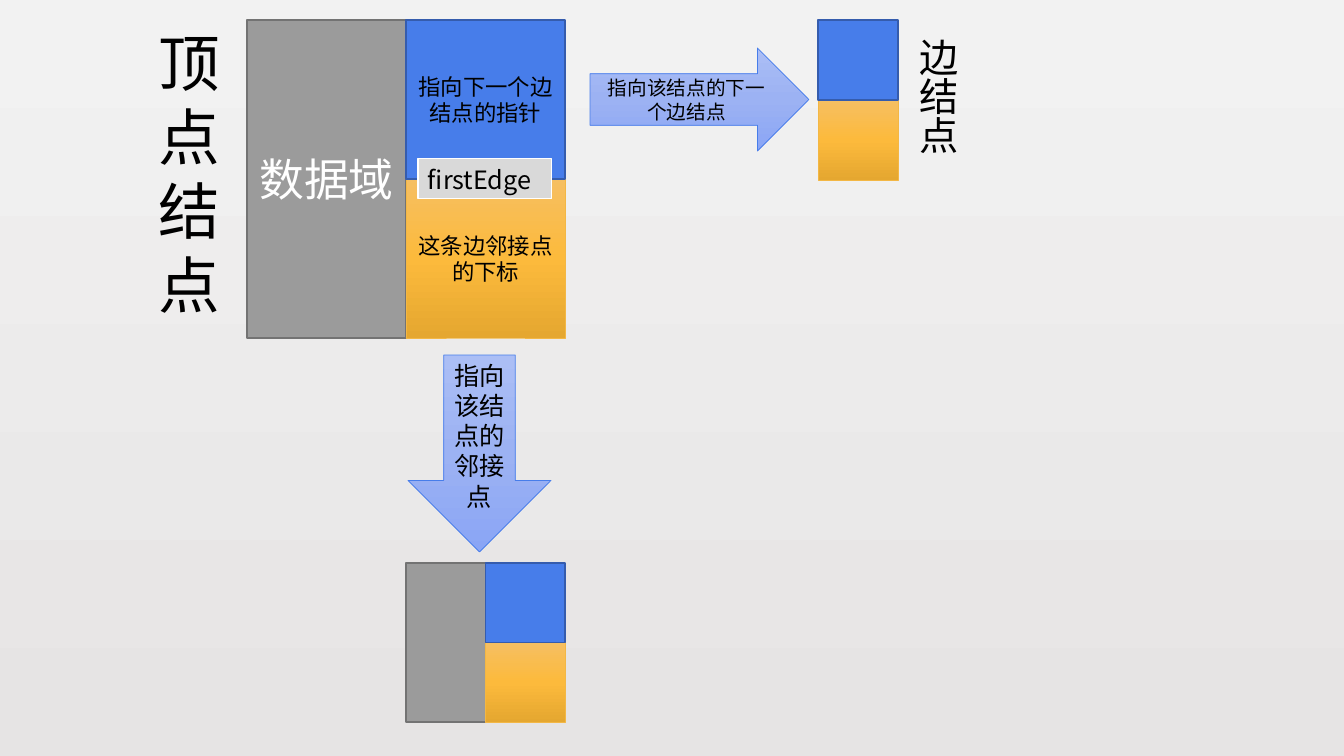
from copy import deepcopy

from pptx import Presentation
from pptx.dml.color import RGBColor
from pptx.enum.shapes import MSO_SHAPE
from pptx.enum.text import MSO_ANCHOR, PP_ALIGN
from pptx.oxml.ns import qn
from pptx.util import Emu, Pt

RECTANGLE = MSO_SHAPE.RECTANGLE
RIGHT_ARROW = MSO_SHAPE.RIGHT_ARROW
DOWN_ARROW = MSO_SHAPE.DOWN_ARROW
MIDDLE, TOP = MSO_ANCHOR.MIDDLE, MSO_ANCHOR.TOP
CENTER, LEFT = PP_ALIGN.CENTER, PP_ALIGN.LEFT

EMU_PER_PIXEL = 914400 / 100.8
CJK, LATIN = "Noto Sans CJK SC", "Arial"
COLORS = {
    "page_top": "F2F2F2", "page_bottom": "E6E4E4",
    "black": "000000", "white": "FFFFFF",
    "grey": "9B9B9B", "grey_edge": "737373", "label": "D9D9D9",
    "blue": "477DEA", "blue_edge": "355CAD",
    "gold_light": "F6BF62", "gold": "FCBA3C", "gold_dark": "E5A730",
    "gold_edge": "F3B745",
    "arrow_light": "ABBEF5", "arrow": "9CB2F3", "arrow_dark": "8AA5F5",
}
# Each style: fill colours from top to bottom, line colour, line width in points
STYLES = {
    "data": (["grey"], "grey_edge", 1),
    "pointer": (["blue"], "blue_edge", 1),
    "index": (["gold_light", "gold", "gold_dark"], "gold_edge", 0.5),
    "arrow": (["arrow_light", "arrow", "arrow_dark"], "blue", 0.5),
    "label": (["label"], "white", 0.75),
}


def px(length):
    """Turn pixels into EMU."""
    return Emu(round(length * EMU_PER_PIXEL))


def rgb(name):
    """Look up a named colour."""
    return RGBColor.from_string(COLORS[name])


def paint(fill, names, holder):
    """Fill with one colour, or with evenly spaced colours from top down."""
    if len(names) == 1:
        fill.solid()
        fill.fore_color.rgb = rgb(names[0])
        return
    fill.gradient()
    fill.gradient_angle = 270
    stops = next(holder.iter(qn("a:gsLst")))
    while len(stops) < len(names):
        stops.append(deepcopy(stops[-1]))
    for number, (stop, name) in enumerate(zip(fill.gradient_stops, names)):
        stop.position = number / (len(names) - 1)
        stop.color.rgb = rgb(name)


def write(box, text, size, font=CJK, color="black", align=CENTER, anchor=MIDDLE):
    """Put one wrapped paragraph into a box."""
    frame = box.text_frame
    frame.word_wrap = True
    frame.vertical_anchor = anchor
    paragraph = frame.paragraphs[0]
    paragraph.text = text
    paragraph.alignment = align
    paragraph.font.size = Pt(size)
    paragraph.font.name = font
    paragraph.font.color.rgb = rgb(color)


def add_block(shapes, style, left, top, width, height, kind=RECTANGLE):
    """Draw a preset shape in a named style."""
    block = shapes.add_shape(kind, px(left), px(top), px(width), px(height))
    block.shadow.inherit = False
    fills, edge, weight = STYLES[style]
    paint(block.fill, fills, block._element.spPr)
    block.line.color.rgb = rgb(edge)
    block.line.width = Pt(weight)
    return block


def add_edge_node(shapes, left, top, side):
    """Stack the pointer square on the index square and return both."""
    index = add_block(shapes, "index", left, top + side, side, side)
    pointer = add_block(shapes, "pointer", left, top, side, side)
    return pointer, index


def add_vertex_node(shapes, left, top, side):
    """Draw a data field beside an edge node and return the three parts."""
    data = add_block(shapes, "data", left, top, side, 2 * side)
    return data, *add_edge_node(shapes, left + side, top, side)


def add_caption(shapes, text, size, left, top, width, height, vertical=False):
    """Add a plain text box, set vertically if asked."""
    caption = shapes.add_textbox(px(left), px(top), px(width), px(height))
    write(caption, text, size, align=LEFT, anchor=TOP)
    if vertical:
        caption.text_frame._txBody.bodyPr.set("vert", "eaVert")


def main():
    """Build the adjacency list slide."""
    deck = Presentation()
    deck.slide_width, deck.slide_height = px(1344), px(756)
    page = deck.slides.add_slide(deck.slide_layouts[6])
    paint(page.background.fill, ["page_top", "page_bottom"], page._element)
    shapes = page.shapes

    add_vertex_node(shapes, 406, 563, 79.5)

    next_edge = add_block(shapes, "arrow", 590, 48, 219, 103, RIGHT_ARROW)
    write(next_edge, "指向该结点的下一个边结点", 14, LATIN)

    add_caption(shapes, "顶点结点", 44, 149, 20, 98, 308)
    data, pointer, index = add_vertex_node(shapes, 247, 20, 159)
    write(data, "数据域", 32, LATIN, "white")
    write(pointer, "指向下一个边结点的指针", 16)
    write(index, "这条边邻接点的下标", 16)
    first_edge = add_block(shapes, "label", 418, 159, 134, 40)
    write(first_edge, "firstEdge", 18, align=LEFT, anchor=TOP)

    neighbour = add_block(shapes, "arrow", 408, 355, 143, 197, DOWN_ARROW)
    write(neighbour, "指向该结点的邻接点", 18)

    add_edge_node(shapes, 818, 20, 80)
    add_caption(shapes, "边结点", 28, 898, 28, 68, 143, vertical=True)

    deck.save("out.pptx")


main()
